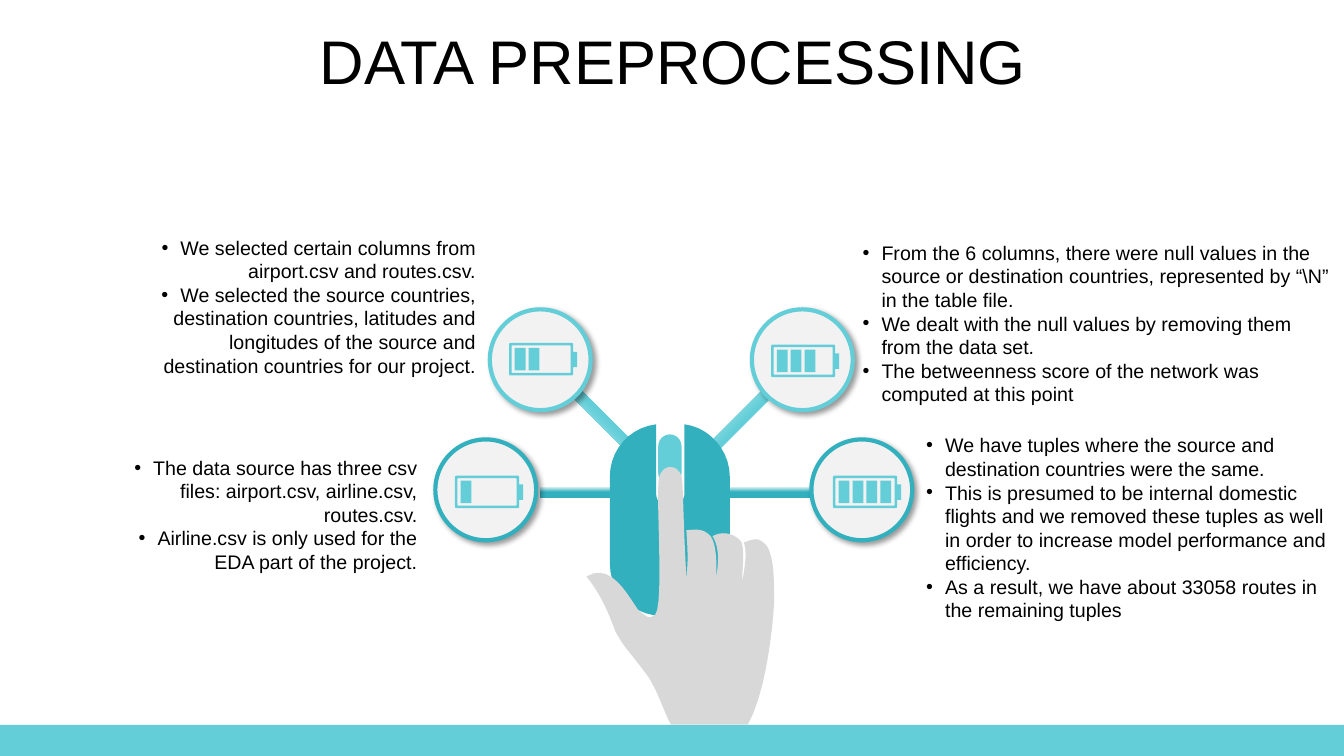
from lxml import etree
from pptx import Presentation
from pptx.dml.color import RGBColor
from pptx.enum.shapes import MSO_SHAPE
from pptx.enum.text import MSO_ANCHOR, PP_ALIGN
from pptx.oxml import parse_xml
from pptx.oxml.ns import nsdecls, qn
from pptx.util import Pt

AQUA, TEAL, PALE, GREY = "64CED8", "32B0BE", "F2F2F2", "D8D8D8"
CURVE_STEPS = 10


def paint(shape, fill, line=None):
    shape.shadow.inherit = False
    shape.fill.solid()
    shape.fill.fore_color.rgb = RGBColor.from_string(fill)
    if line:
        shape.line.color.rgb = RGBColor.from_string(line)
        shape.line.width = Pt(3)
    else:
        shape.line.fill.background()


def draw_outline(contours, fill):
    """Draw closed contours in points: pairs are corners, sextets are Bezier curves."""
    builder = None
    for contour in contours:
        x, y = contour[0]
        if builder is None:
            builder = slide.shapes.build_freeform(x * 100, y * 100, scale=Pt(0.01))
        else:
            builder.move_to(x * 100, y * 100)
        vertices = []
        for segment in contour[1:]:
            if len(segment) == 2:
                vertices.append(segment)
            else:
                x1, y1, x2, y2, x3, y3 = segment
                for step in range(1, CURVE_STEPS + 1):
                    t = step / CURVE_STEPS
                    a, b, c, d = (1 - t) ** 3, 3 * t * (1 - t) ** 2, 3 * t * t * (1 - t), t ** 3
                    vertices.append((a * x + b * x1 + c * x2 + d * x3,
                                     a * y + b * y1 + c * y2 + d * y3))
            x, y = segment[-2:]
        builder.add_line_segments([(vx * 100, vy * 100) for vx, vy in vertices], close=True)
    paint(builder.convert_to_shape(), fill)


presentation = Presentation()
presentation.slide_width, presentation.slide_height = Pt(960), Pt(540)
slide = presentation.slides.add_slide(presentation.slide_layouts[5])

title = slide.shapes.title
title.left, title.top, title.width, title.height = Pt(25.2), Pt(18), Pt(911.5), Pt(56.9)
title.text_frame.text = "DATA PREPROCESSING"
title.text_frame.vertical_anchor = MSO_ANCHOR.MIDDLE
heading = title.text_frame.paragraphs[0]
heading.alignment = PP_ALIGN.CENTER
heading.line_spacing = 0.9
heading.font.size = Pt(44)
heading.font.name = "Arial"
heading.font.color.rgb = RGBColor.from_string("000000")

footer_band = slide.shapes.add_shape(MSO_SHAPE.RECTANGLE, 0, Pt(517.7), Pt(960), Pt(22.3))
paint(footer_band, AQUA)

# Arms from the mouse to the circles
for left, top, angle, color in [
    (431.3, 267.8, 315, AQUA),
    (523.4, 265, 45, AQUA),
    (418.3, 314.6, 90, TEAL),
    (542.2, 314.6, 90, TEAL),
]:
    arm = slide.shapes.add_shape(MSO_SHAPE.RECTANGLE, Pt(left), Pt(top), Pt(8.3), Pt(73.4))
    paint(arm, color)
    arm.rotation = angle
    arm.fill.gradient()
    arm.fill.gradient_angle = 180
    for stop, position, shade in zip(arm.fill.gradient_stops, (0.48, 1), (color, "FFFFFF")):
        stop.position = position
        stop.color.rgb = RGBColor.from_string(shade)

# Circles with batteries: circle left and top, battery left and top, bars, rim
for left, top, battery_left, battery_top, bars, rim in [
    (311, 313.9, 325, 339.8, 1, TEAL),
    (349.9, 221, 363.6, 245, 2, AQUA),
    (537.1, 221, 550.8, 246.2, 3, AQUA),
    (579.6, 313.9, 595, 339.8, 4, TEAL),
]:
    circle = slide.shapes.add_shape(MSO_SHAPE.OVAL, Pt(left), Pt(top), Pt(72), Pt(72))
    paint(circle, PALE, rim)
    effects = circle._element.spPr.find(qn("a:effectLst"))
    effects.append(parse_xml(
        f'<a:outerShdw {nsdecls("a")} blurRad="{Pt(4)}" dist="{Pt(3)}" dir="2700000" '
        'algn="tl" rotWithShape="0"><a:srgbClr val="000000"><a:alpha val="40000"/>'
        '</a:srgbClr></a:outerShdw>'))

    battery = []
    for inset, radius in ((0, 2.5), (1.8, 1.2)):
        l, t = battery_left + inset, battery_top + inset
        r, b = battery_left + 45.8 - inset, battery_top + 23.2 - inset
        battery.append([
            (l + radius, t), (r - radius, t), (r, t, r, t, r, t + radius),
            (r, b - radius), (r, b, r, b, r - radius, b),
            (l + radius, b), (l, b, l, b, l, b - radius),
            (l, t + radius), (l, t, l, t, l + radius, t)])
    blocks = [(45.8, 6.3, 2.8, 11)] + [(4.1 + 9.9 * bar, 3.6, 7.7, 16) for bar in range(bars)]
    for dx, dy, width, height in blocks:
        l, t = battery_left + dx, battery_top + dy
        battery.append([(l, t), (l + width, t), (l + width, t + height), (l, t + height)])
    draw_outline(battery, AQUA)

for left, top, width, height, alignment, points in [
    (609.1, 168.5, 350.6, 127.4, PP_ALIGN.LEFT, [
        "From the 6 columns, there were null values in the source or destination countries, "
        "represented by “\\N” in the table file.",
        "We dealt with the null values by removing them from the data set.",
        "The betweenness score of the network was computed at this point"]),
    (71.3, 321.8, 234, 82, PP_ALIGN.RIGHT, [
        "The data source has three csv files: airport.csv, airline.csv, routes.csv.",
        "Airline.csv is only used for the EDA part of the project."]),
    (74.9, 164.9, 272.2, 103.7, PP_ALIGN.RIGHT, [
        "We selected certain columns from airport.csv and routes.csv.",
        "We selected the source countries, destination countries, latitudes and longitudes "
        "of the source and destination countries for our project."]),
    (654.5, 306, 303.8, 131, PP_ALIGN.LEFT, [
        "We have tuples where the source and destination countries were the same.",
        "This is presumed to be internal domestic flights and we removed these tuples as well "
        "in order to increase model performance and efficiency.",
        "As a result, we have about 33058 routes in the remaining tuples"]),
]:
    notes = slide.shapes.add_textbox(Pt(left), Pt(top), Pt(width), Pt(height)).text_frame
    notes.word_wrap = True
    notes.text = "\n".join(points)
    for point in notes.paragraphs:
        point.alignment = alignment
        properties = point._p.get_or_add_pPr()
        properties.set("marL", str(Pt(13.5)))
        properties.set("indent", str(Pt(-13.5)))
        etree.SubElement(properties, qn("a:buFont"), typeface="Arial")
        etree.SubElement(properties, qn("a:buChar"), char="•")
        point.font.size = Pt(14)
        point.font.name = "Arial"
        point.font.color.rgb = RGBColor.from_string("000000")

mouse = [
    (468.7, 303.1), (468.7, 352.8), (468.7, 356.4, 470.9, 360, 474.5, 360.7),
    (474.5, 378), (474.5, 380.2, 476.6, 382.3, 478.8, 382.3),
    (481, 382.3, 482.4, 380.2, 482.4, 378), (482.4, 360.7),
    (486, 360, 488.9, 356.4, 488.9, 352.8), (488.9, 303.1),
    (506.9, 305.3, 521.3, 321.8, 521.3, 340.6), (521.3, 402.5),
    (521.3, 423.4, 504.7, 439.9, 483.8, 439.9), (473, 439.9),
    (452.2, 439.9, 435.6, 423.4, 435.6, 402.5), (435.6, 340.6),
    (435.6, 321.1, 450, 305.3, 468.7, 303.1)]
draw_outline([mouse], TEAL)

wheel = slide.shapes.add_shape(MSO_SHAPE.ROUNDED_RECTANGLE, Pt(470.2), Pt(310.3), Pt(16.6), Pt(36))
wheel.adjustments[0] = 0.5
paint(wheel, AQUA)

hand = [
    (419, 411.8), (429.8, 425.5, 434.9, 438.5, 439.2, 450),
    (444.2, 460.8, 450.7, 466.6, 460.1, 479.5), (468.7, 488.9, 475.9, 513.4, 479.5, 517.7),
    (534.2, 517.7), (548.6, 491.8, 553, 437.8, 553, 427.7),
    (553, 409, 552.2, 397.4, 547.9, 390.2), (542.2, 383.8, 540, 384.5, 531.4, 387.4),
    (534.2, 396, 531.4, 406.8, 530.6, 414), (529.2, 414, 532.8, 391.7, 529.2, 386.6),
    (524.9, 381.6, 517, 378.7, 509, 383), (514.8, 392.4, 512.6, 403.9, 511.9, 411.8),
    (511.2, 411.8, 513.4, 391, 507.6, 383), (502.6, 378, 499.7, 378, 490.3, 378.7),
    (491, 391, 491.8, 398.2, 490.3, 413.3), (488.2, 373.7, 488.2, 357.8, 487.4, 344.2),
    (487.4, 330.5, 469.4, 328.3, 470.2, 347.8), (469.4, 367.2, 473.8, 433.4, 468, 439.2),
    (463, 442.1, 463, 441.4, 455.8, 435.6), (448.6, 425.5, 436.3, 401, 419, 411.8)]
draw_outline([hand], GREY)

presentation.save("out.pptx")
